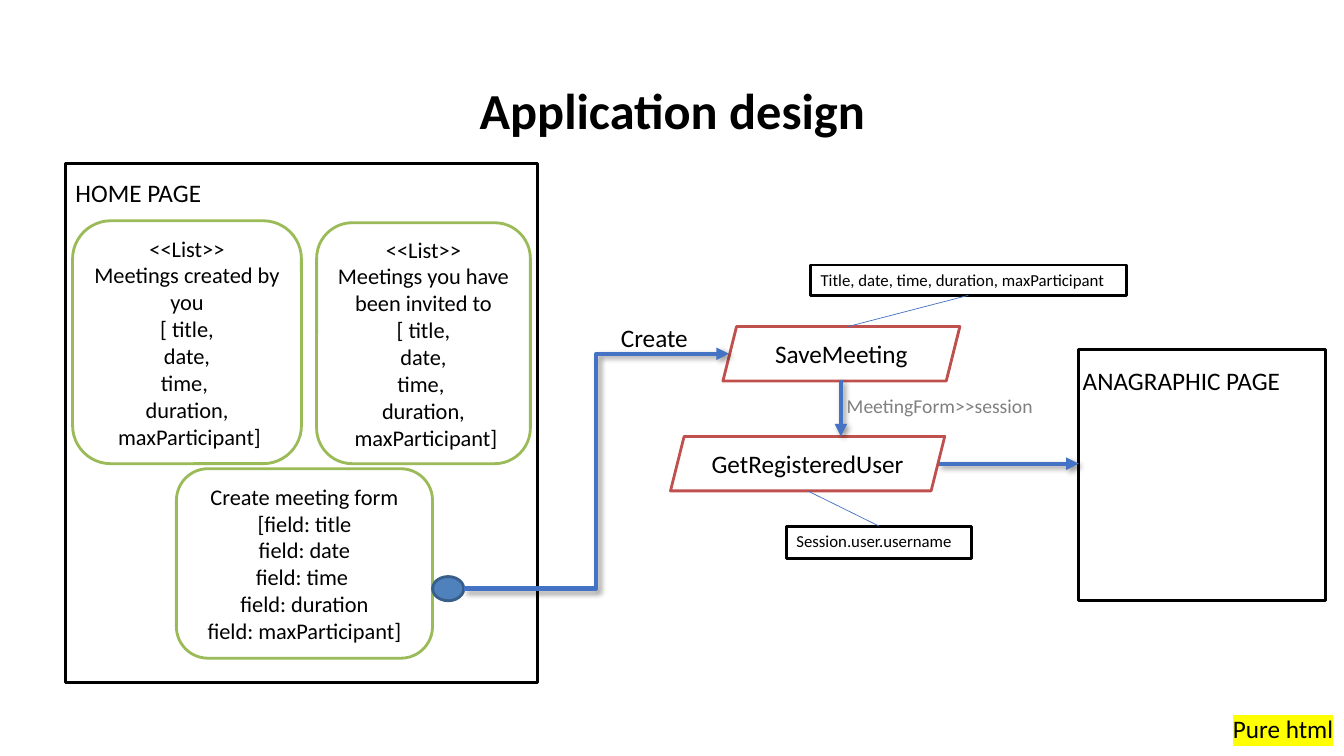
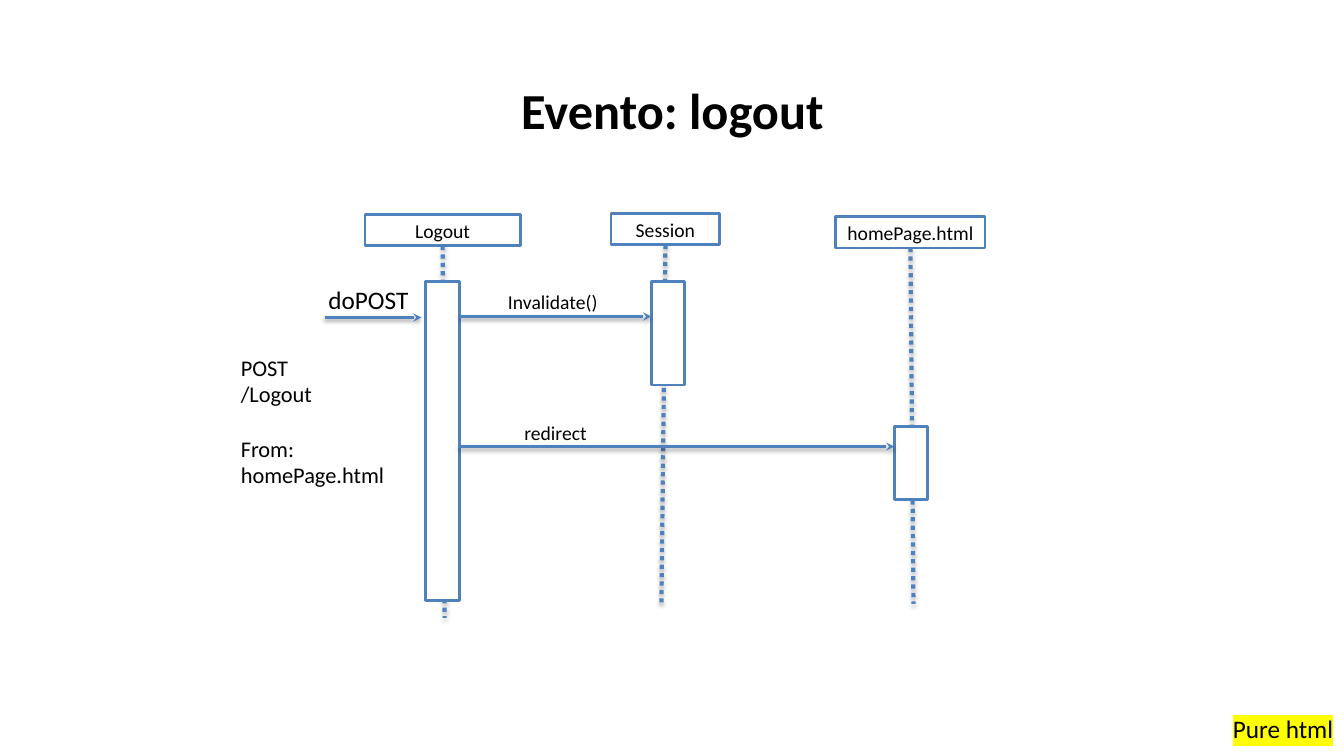
from lxml.etree import SubElement
from pptx import Presentation
from pptx.dml.color import RGBColor
from pptx.enum.dml import MSO_LINE
from pptx.enum.shapes import MSO_CONNECTOR, MSO_SHAPE
from pptx.enum.text import MSO_ANCHOR, MSO_AUTO_SIZE, PP_ALIGN
from pptx.oxml import parse_xml
from pptx.oxml.ns import nsdecls, qn
from pptx.util import Inches, Pt

FONT = "Calibri"
BLACK = RGBColor(0x00, 0x00, 0x00)
WHITE = RGBColor(0xFF, 0xFF, 0xFF)
GRAY = RGBColor(0x80, 0x80, 0x80)
GREEN = RGBColor(0x9B, 0xBB, 0x59)
RED = RGBColor(0xC0, 0x50, 0x4D)
BLUE = RGBColor(0x4F, 0x81, 0xBD)
DARK_BLUE = RGBColor(0x39, 0x5E, 0x89)
FLOW_BLUE = RGBColor(0x44, 0x72, 0xC4)
YELLOW = RGBColor(0xFF, 0xFF, 0x00)

# Shadows: opacity in percent, blur and distance in points, angle in degrees
FLOW_SHADOW = (40, 4, 3, 45)
LIFELINE_SHADOW = (35, 3.1, 1.8, 90)
MESSAGE_SHADOW = (38, 3.1, 1.6, 90)

MEETING_FIELDS = ["[ title,", "date,", "time, ", "duration,", " maxParticipant]"]


def inches(values):
    return [Inches(v) for v in values]


def add_run(p, text, size, color=BLACK, bold=False):
    r = p.add_run()
    r.text = text
    r.font.name = FONT
    r.font.size = Pt(size)
    r.font.bold = bold
    r.font.color.rgb = color
    return r


def write_lines(tf, lines, size, color=BLACK, align=PP_ALIGN.LEFT):
    for i, line in enumerate(lines):
        p = tf.paragraphs[0] if i == 0 else tf.add_paragraph()
        p.alignment = align
        add_run(p, line, size, color)


def highlight(r, color):
    fill = r.font._element.find(qn("a:solidFill"))
    fill.addnext(parse_xml(
        f'<a:highlight {nsdecls("a")}><a:srgbClr val="{color}"/></a:highlight>'))


def add_label(slide, at, text, size=18, color=BLACK):
    """Add one line of text in a box that fits it."""
    sp = slide.shapes.add_textbox(*inches(at))
    tf = sp.text_frame
    tf.word_wrap = False
    tf.auto_size = MSO_AUTO_SIZE.SHAPE_TO_FIT_TEXT
    write_lines(tf, [text], size, color)
    return sp


def add_text(slide, at, lines, size, align=PP_ALIGN.LEFT):
    """Add wrapped text in a box of fixed size."""
    sp = slide.shapes.add_textbox(*inches(at))
    sp.text_frame.word_wrap = True
    write_lines(sp.text_frame, lines, size, align=align)
    return sp


def add_box(slide, kind, at, line, lines=(), size=18, fill=WHITE, weight=2,
            align=PP_ALIGN.CENTER, anchor=MSO_ANCHOR.MIDDLE):
    sp = slide.shapes.add_shape(kind, *inches(at))
    sp.shadow.inherit = False
    if fill is None:
        sp.fill.background()
    else:
        sp.fill.solid()
        sp.fill.fore_color.rgb = fill
    sp.line.color.rgb = line
    sp.line.width = Pt(weight)
    tf = sp.text_frame
    tf.word_wrap = True
    tf.vertical_anchor = anchor
    write_lines(tf, lines, size, align=align)
    return sp


def add_page(slide, at):
    return add_box(slide, MSO_SHAPE.RECTANGLE, at, BLACK, fill=None, weight=2.25)


def add_component(slide, at, lines):
    return add_box(slide, MSO_SHAPE.ROUNDED_RECTANGLE, at, GREEN, lines, 16)


def add_action(slide, at, name):
    return add_box(slide, MSO_SHAPE.PARALLELOGRAM, at, RED, [name])


def add_note(slide, at, text):
    return add_box(slide, MSO_SHAPE.RECTANGLE, at, BLACK, [text], 12,
                   align=PP_ALIGN.LEFT, anchor=MSO_ANCHOR.TOP)


def add_line(slide, start, end, color, weight, shadow=None, head=None, dash=None,
             kind=MSO_CONNECTOR.STRAIGHT):
    c = slide.shapes.add_connector(kind, *inches(start + end))
    c.line.color.rgb = color
    c.line.width = Pt(weight)
    if dash:
        c.line.dash_style = dash
    sp_pr = c._element.spPr
    if head:
        SubElement(sp_pr.find(qn("a:ln")), qn("a:tailEnd"), type=head)
    effects = SubElement(sp_pr, qn("a:effectLst"))
    if shadow:
        opacity, blur, distance, angle = shadow
        outer = SubElement(effects, qn("a:outerShdw"), blurRad=str(Pt(blur)),
                           dist=str(Pt(distance)), dir=str(angle * 60000),
                           rotWithShape="0")
        shade = SubElement(outer, qn("a:srgbClr"), val=str(BLACK))
        SubElement(shade, qn("a:alpha"), val=str(opacity * 1000))
    return c


def add_flow(slide, start, end, kind=MSO_CONNECTOR.STRAIGHT):
    return add_line(slide, start, end, FLOW_BLUE, 3, FLOW_SHADOW, "triangle", kind=kind)


def add_message(slide, start, end):
    return add_line(slide, start, end, BLUE, 2, MESSAGE_SHADOW, "stealth")


def add_participant(slide, head_at, name, foot, bar_at):
    """Add a named head, its dotted lifeline down to foot, and its activation bar."""
    left, top, width, height = head_at
    head = add_box(slide, MSO_SHAPE.RECTANGLE, head_at, BLUE, [name], 14)
    lifeline = add_line(slide, (left + width / 2, top + height), foot, BLUE, 3,
                        LIFELINE_SHADOW, dash=MSO_LINE.ROUND_DOT)
    lifeline.begin_connect(head, 2)
    add_box(slide, MSO_SHAPE.RECTANGLE, bar_at, BLUE)


def add_titled_slide(prs, title):
    slide = prs.slides.add_slide(prs.slide_layouts[5])
    sp = slide.shapes.title
    sp.left, sp.top, sp.width, sp.height = inches((0.92, 0.4, 11.5, 1.45))
    sp.text_frame.vertical_anchor = MSO_ANCHOR.MIDDLE
    p = sp.text_frame.paragraphs[0]
    p.alignment = PP_ALIGN.CENTER
    p.line_spacing = 0.9
    add_run(p, title, 36, bold=True)
    tag = add_label(slide, (12.13, 7.03, 1.21, 0.4), "Pure html")
    highlight(tag.text_frame.paragraphs[0].runs[0], YELLOW)
    return slide


def build_application_design(prs):
    slide = add_titled_slide(prs, "Application design")
    add_page(slide, (0.65, 1.62, 4.68, 5.15))
    add_page(slide, (10.7, 3.47, 2.45, 2.49))
    add_label(slide, (0.65, 1.71, 1.46, 0.4), "HOME PAGE")
    add_label(slide, (10.64, 3.58, 2.18, 0.4), "ANAGRAPHIC PAGE")

    add_component(slide, (0.72, 2.19, 2.27, 2.41),
                  ["<<List>>", "Meetings created by you", *MEETING_FIELDS])
    add_component(slide, (3.14, 2.21, 2.12, 2.39),
                  ["<<List>>", "Meetings you have been invited to", *MEETING_FIELDS])
    add_component(slide, (1.75, 4.65, 2.54, 1.88),
                  ["Create meeting form", "[field: title", "field: date",
                   "field: time ", "field: duration", "field: maxParticipant]"])

    add_action(slide, (7.17, 3.24, 2.35, 0.54), "SaveMeeting")
    add_action(slide, (6.65, 4.33, 2.72, 0.54), "GetRegisteredUser")
    add_box(slide, MSO_SHAPE.OVAL, (4.29, 5.72, 0.31, 0.24), DARK_BLUE, fill=BLUE)
    add_flow(slide, (4.6, 5.84), (7.23, 3.51), MSO_CONNECTOR.ELBOW)
    add_flow(slide, (8.34, 3.77), (8.34, 4.33))
    add_flow(slide, (9.31, 4.6), (10.7, 4.6))
    add_label(slide, (6.06, 3.15, 0.87, 0.4), "Create")
    add_label(slide, (8.3, 3.86, 2.07, 0.34), "MeetingForm>>session", 14, GRAY)

    form_note = add_note(slide, (8.04, 2.63, 3.13, 0.3),
                         "Title, date, time, duration, maxParticipant")
    user_note = add_note(slide, (7.8, 5.22, 1.84, 0.32), "Session.user.username")
    form_link = add_line(slide, (9.6, 2.93), (8.41, 3.24), FLOW_BLUE, 0.5)
    form_link.begin_connect(form_note, 2)
    user_link = add_line(slide, (8.01, 4.87), (8.72, 5.22), FLOW_BLUE, 0.5)
    user_link.end_connect(user_note, 0)


def build_logout_event(prs):
    slide = add_titled_slide(prs, "Evento: logout")
    add_participant(slide, (3.62, 2.13, 1.54, 0.31), "Logout",
                    (4.41, 6.13), (4.22, 2.79, 0.34, 3.17))
    add_participant(slide, (6.06, 2.12, 1.08, 0.31), "Session",
                    (6.56, 6), (6.46, 2.79, 0.33, 1.03))
    add_participant(slide, (8.29, 2.15, 1.48, 0.31), "homePage.html",
                    (9.06, 5.99), (8.87, 4.23, 0.33, 0.73))

    add_message(slide, (3.22, 3.15), (4.18, 3.15))
    add_message(slide, (4.55, 3.14), (6.46, 3.14))
    add_message(slide, (4.54, 4.43), (8.87, 4.43))
    add_text(slide, (3.16, 2.77, 1, 0.3), ["doPOST"], 18)
    add_text(slide, (4.94, 2.83, 1.57, 0.31), ["Invalidate()"], 14)
    add_text(slide, (4.35, 4.13, 2.32, 0.28), ["redirect"], 14, PP_ALIGN.CENTER)
    request = add_text(slide, (2.29, 3.46, 1.73, 2.31),
                       ["POST", "/Logout", "From: homePage.html"], 16)
    request.text_frame.paragraphs[2].space_before = Pt(19.5)


def main():
    prs = Presentation()
    prs.slide_width, prs.slide_height = inches((13.33, 7.5))
    build_application_design(prs)
    build_logout_event(prs)
    prs.save("out.pptx")


if __name__ == "__main__":
    main()
